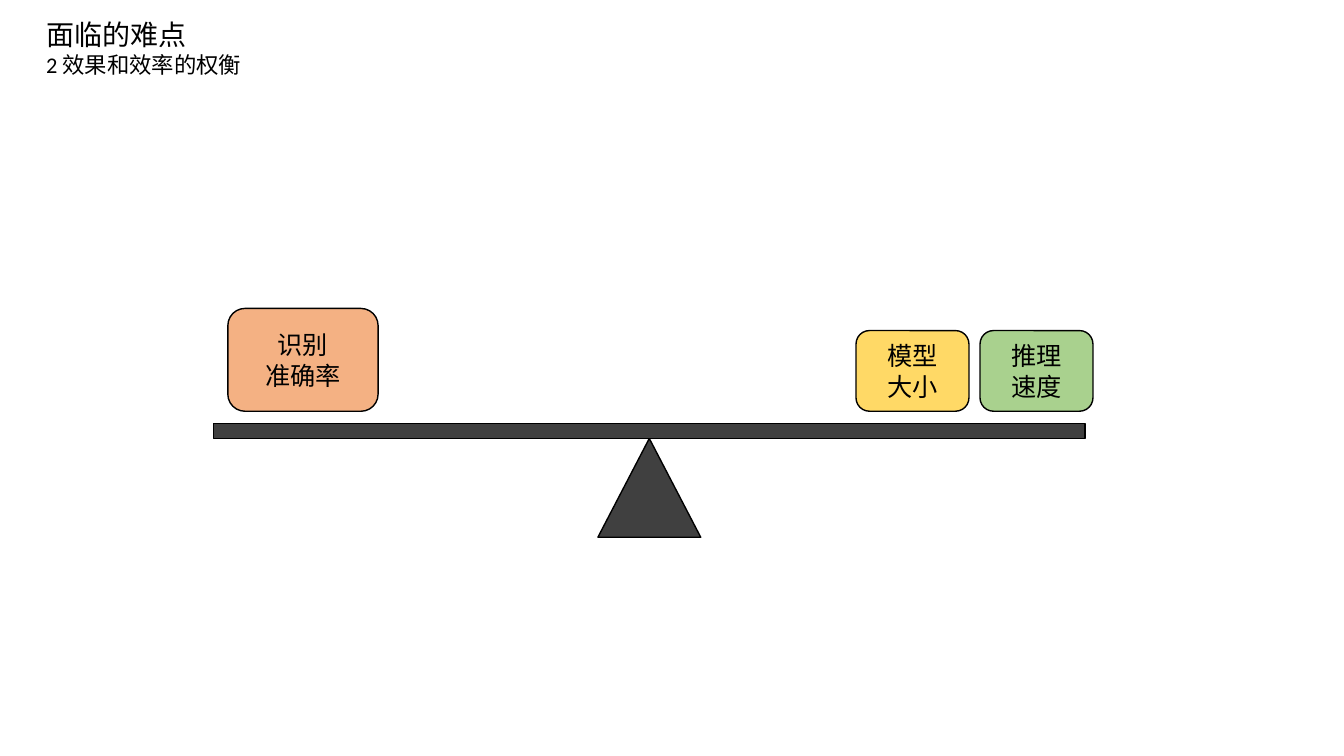
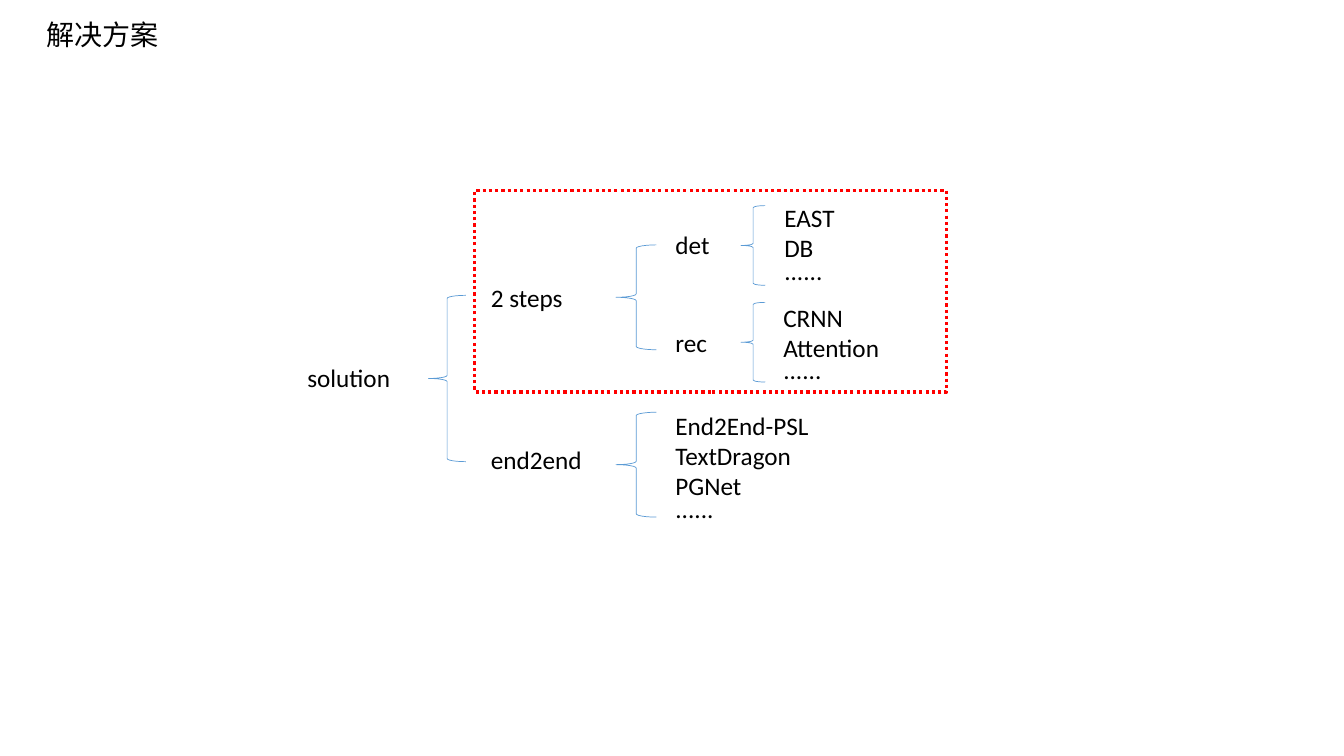
from pptx import Presentation
from pptx import util as u
from pptx.dml.color import RGBColor
from pptx.enum import dml, shapes, text

PX = 9144  # EMU per px, 100 px to the inch
FONT = "Calibri"
TITLE_SIZE, SUBTITLE_SIZE, BODY_SIZE = 20, 16, 18
LABEL_H = 40
ROW_STEP, ELLIPSIS_STEP = 30, 22
COLORS = {
    "text": "000000",
    "outline": "000000",
    "balance": "404040",
    "accuracy": "F4B183",
    "size": "FFD966",
    "speed": "A9D18E",
    "brace": "5B9BD5",
    "highlight": "FF0000",
}
PRESET = shapes.MSO_SHAPE


def rgb(name):
    return RGBColor.from_string(COLORS[name])


def px(*lengths):
    return [u.Emu(n * PX) for n in lengths]


def write(tf, lines, sizes, align=None):
    """Write one paragraph per line, each with its own size."""
    for i, (line, size) in enumerate(zip(lines, sizes)):
        p = tf.paragraphs[0] if i == 0 else tf.add_paragraph()
        p.text = line
        p.alignment = align
        p.font.name = FONT
        p.font.size = u.Pt(size)
        p.font.color.rgb = rgb("text")


def add_text(s, x, y, w, h, lines, sizes):
    tf = s.shapes.add_textbox(*px(x, y, w, h)).text_frame
    tf.word_wrap = True
    tf.auto_size = text.MSO_AUTO_SIZE.SHAPE_TO_FIT_TEXT
    write(tf, lines, sizes)


def add_title(s, title, subtitle=None):
    lines = [title, subtitle] if subtitle else [title]
    height = 71 if subtitle else 44
    add_text(s, 36, 12, 258, height, lines, [TITLE_SIZE, SUBTITLE_SIZE])


def add_label(s, x, y, w, label):
    add_text(s, x, y, w, LABEL_H, [label], [BODY_SIZE])


def add_shape(s, kind, x, y, w, h, fill=None, line="outline", weight=1):
    sp = s.shapes.add_shape(kind, *px(x, y, w, h))
    sp.shadow.inherit = False
    if fill:
        sp.fill.solid()
        sp.fill.fore_color.rgb = rgb(fill)
    else:
        sp.fill.background()
    sp.line.color.rgb = rgb(line)
    sp.line.width = u.Pt(weight)
    return sp


def add_weight(s, x, y, w, h, fill, lines):
    """Add a rounded block that rests on the balance."""
    tf = add_shape(s, PRESET.ROUNDED_RECTANGLE, x, y, w, h, fill).text_frame
    tf.vertical_anchor = text.MSO_ANCHOR.MIDDLE
    write(tf, lines, [BODY_SIZE] * len(lines), text.PP_ALIGN.CENTER)


def add_brace(s, x, y, w, h):
    add_shape(s, PRESET.LEFT_BRACE, x, y, w, h, line="brace", weight=0.5)


def add_methods(s, x, y, methods):
    """List methods at an even step, closed by a tighter ellipsis."""
    for i, method in enumerate(methods):
        add_label(s, x, y + i * ROW_STEP, 215, method)
    last = y + (len(methods) - 1) * ROW_STEP
    add_label(s, x, last + ELLIPSIS_STEP, 215, "......")


def build_tradeoff(s):
    add_title(s, "面临的难点", "2 效果和效率的权衡")
    beam_x, beam_y, beam_w, beam_h = 212, 420, 864, 15
    fulcrum_w = 102
    add_shape(s, PRESET.ISOSCELES_TRIANGLE, beam_x + (beam_w - fulcrum_w) // 2,
              beam_y + beam_h, fulcrum_w, 98, "balance")
    add_shape(s, PRESET.RECTANGLE, beam_x, beam_y, beam_w, beam_h, "balance")
    for x, w, h, fill, lines in [
        (226, 149, 102, "accuracy", ["识别", "准确率"]),
        (849, 112, 80, "size", ["模型", "大小"]),
        (972, 112, 80, "speed", ["推理", "速度"]),
    ]:
        add_weight(s, x, beam_y - 12 - h, w, h, fill, lines)


def build_solutions(s):
    add_title(s, "解决方案")
    for brace in [
        (425, 293, 37, 165),
        (611, 243, 40, 104),
        (611, 409, 40, 104),
        (735, 204, 24, 79),
        (735, 300, 24, 79),
    ]:
        add_brace(s, *brace)
    for x, y, w, label in [
        (295, 355, 130, "solution"),
        (477, 275, 144, "2 steps"),
        (477, 436, 174, "end2end"),
        (660, 223, 85, "det"),
        (660, 320, 85, "rec"),
    ]:
        add_label(s, x, y, w, label)
    add_methods(s, 768, 196, ["EAST", "DB"])
    add_methods(s, 767, 295, ["CRNN", "Attention"])
    add_methods(s, 660, 402, ["End2End-PSL", "TextDragon", "PGNet"])
    frame = add_shape(s, PRESET.RECTANGLE, 471, 189, 468, 200,
                      line="highlight", weight=2.25)
    frame.line.dash_style = dml.MSO_LINE.ROUND_DOT


def main():
    prs = Presentation()
    prs.slide_width, prs.slide_height = px(1333, 750)
    blank = prs.slide_layouts[6]
    for build in (build_tradeoff, build_solutions):
        build(prs.slides.add_slide(blank))
    prs.save("out.pptx")


if __name__ == "__main__":
    main()
